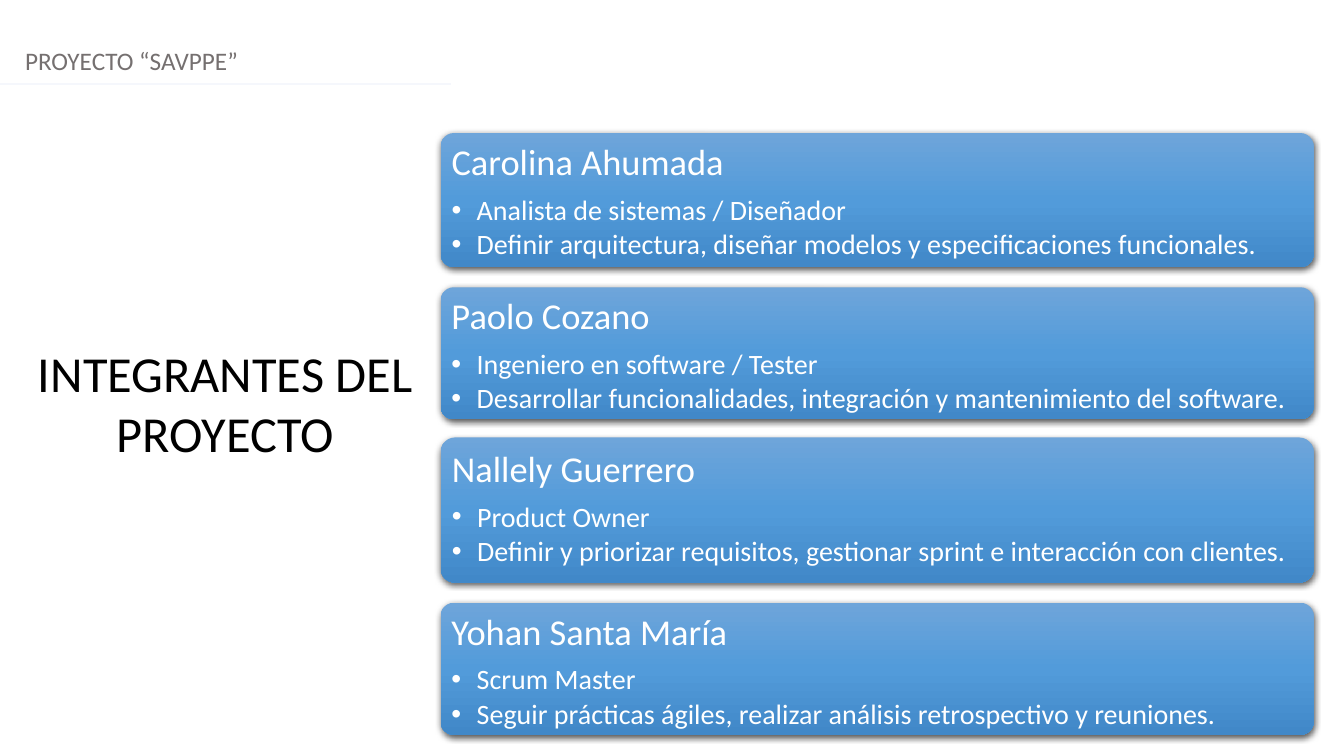
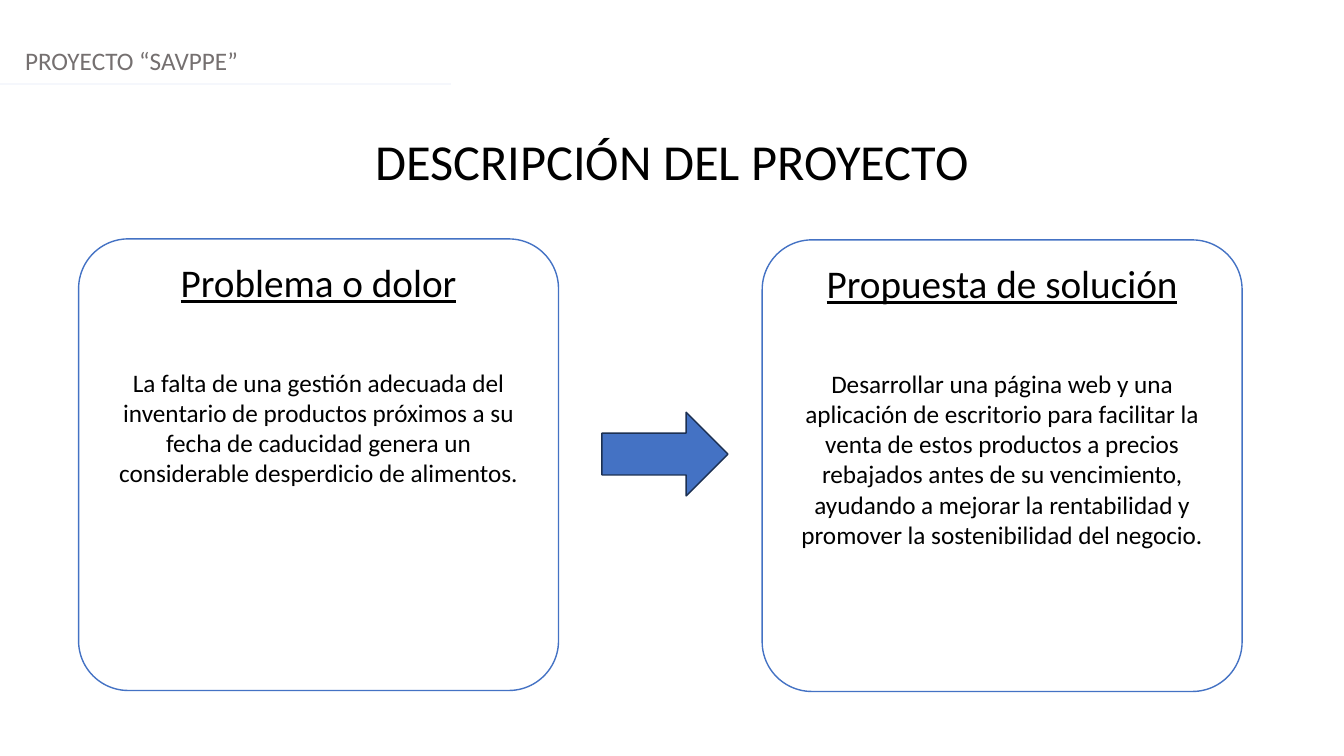
import copy

import pptx
import pptx.dml.color
import pptx.enum.shapes
import pptx.enum.text
import pptx.oxml
import pptx.oxml.ns
import pptx.util

Inches, Pt = pptx.util.Inches, pptx.util.Pt
RGBColor = pptx.dml.color.RGBColor
SHAPE = pptx.enum.shapes.MSO_SHAPE
ALIGN = pptx.enum.text.PP_ALIGN
qn = pptx.oxml.ns.qn

# Content
PROJECT = "PROYECTO “SAVPPE”"
TEAM_TITLE = "INTEGRANTES DEL PROYECTO"
# name, role, task, card top, card height, text offset
TEAM = [
    ("Carolina Ahumada", "Analista de sistemas / Diseñador",
     "Definir arquitectura, diseñar modelos y especificaciones funcionales.",
     1.32, 1.33, 0),
    ("Paolo Cozano", "Ingeniero en software / Tester",
     "Desarrollar funcionalidades, integración y mantenimiento del software.",
     2.85, 1.31, 0),
    ("Nallely Guerrero", "Product Owner",
     "Definir y priorizar requisitos, gestionar sprint e interacción con clientes.",
     4.34, 1.44, 0.02),
    ("Yohan Santa María", "Scrum Master",
     "Seguir prácticas ágiles, realizar análisis retrospectivo y reuniones.",
     5.98, 1.31, 0),
]
ABOUT_TITLE = "DESCRIPCIÓN DEL PROYECTO"
# heading, body, panel left, panel top
PANELS = [
    ("Problema o dolor",
     "La falta de una gestión adecuada del inventario de productos próximos a su "
     "fecha de caducidad genera un considerable desperdicio de alimentos.",
     0.78, 2.37),
    ("Propuesta de solución",
     "Desarrollar una página web y una aplicación de escritorio para facilitar la "
     "venta de estos productos a precios rebajados antes de su vencimiento, "
     "ayudando a mejorar la rentabilidad y promover la sostenibilidad del negocio.",
     7.56, 2.38),
]

# Shared style
FONT = "Calibri"
BLACK = RGBColor(0x00, 0x00, 0x00)
WHITE = RGBColor(0xFF, 0xFF, 0xFF)
GRAY = RGBColor(0x75, 0x70, 0x70)
RULE = RGBColor(0xF5, 0xF7, 0xFC)
BLUE = RGBColor(0x44, 0x72, 0xC4)
NAVY = RGBColor(0x1C, 0x30, 0x52)
CARD_STOPS = [(0, RGBColor(0x6E, 0xA5, 0xDA)),
              (0.5, RGBColor(0x52, 0x9B, 0xDA)),
              (1, RGBColor(0x41, 0x88, 0xC8))]
HEADER = {"size": Pt(18), "color": GRAY}
TITLE = {"size": Pt(36), "color": BLACK}
NAME = {"size": Pt(26), "color": WHITE}
DETAIL = {"size": Pt(20), "color": WHITE}
HEADING = {"size": Pt(28), "color": BLACK, "underline": True}
BODY = {"size": Pt(18), "color": BLACK}
NS = pptx.oxml.ns.nsdecls("a")
SHADOW = ('<a:outerShdw %s blurRad="57150" dist="19050" dir="5400000" algn="ctr" '
          'rotWithShape="0"><a:srgbClr val="000000"><a:alpha val="63000"/>'
          '</a:srgbClr></a:outerShdw>')
SLIDE_W = 13.33


def add_xml(parent, xml):
    parent.append(pptx.oxml.parse_xml(xml % NS))


def write(tf, lines):
    """Each line is text, font values, paragraph values."""
    tf.word_wrap = True
    tf.vertical_anchor = pptx.enum.text.MSO_ANCHOR.TOP
    for i, (text, font, layout) in enumerate(lines):
        p = tf.add_paragraph() if i else tf.paragraphs[0]
        for key, value in layout.items():
            setattr(p, key, value)
        r = p.add_run()
        r.text = text
        r.font.name = FONT
        for key, value in font.items():
            if key == "color":
                r.font.color.rgb = value
            else:
                setattr(r.font, key, value)


def add_text(slide, box, text, font, align=ALIGN.LEFT):
    tb = slide.shapes.add_textbox(*map(Inches, box))
    write(tb.text_frame, [(text, font, {"alignment": align})])


def add_shape(slide, kind, box, adj=None):
    sp = slide.shapes.add_shape(kind, *map(Inches, box))
    sp.shadow.inherit = False
    if adj is not None:
        sp.adjustments[0] = adj
    return sp


def paint(sp, fill, line):
    sp.fill.solid()
    sp.fill.fore_color.rgb = fill
    sp.line.color.rgb = line
    sp.line.width = Pt(1)


def add_bullet(p):
    pPr = p._p.get_or_add_pPr()
    pPr.set("marL", str(Inches(0.25)))
    pPr.set("indent", str(-Inches(0.25)))
    add_xml(pPr, '<a:buFont %s typeface="Arial"/>')
    add_xml(pPr, '<a:buChar %s char="•"/>')


def new_slide(prs, title, title_box):
    slide = prs.slides.add_slide(prs.slide_layouts[6])
    add_text(slide, (0.15, 0.4, 4.3, 0.4), PROJECT, HEADER)
    ln = slide.shapes.add_connector(
        pptx.enum.shapes.MSO_CONNECTOR.STRAIGHT,
        Inches(0), Inches(0.83), Inches(4.47), Inches(0.83))
    ln.line.color.rgb = RULE
    ln.line.width = Pt(1.25)
    add_xml(ln._element.spPr, "<a:effectLst %s/>")
    add_text(slide, title_box, title, TITLE, ALIGN.CENTER)
    return slide


def add_card(slide, name, role, task, top, height, offset):
    sp = add_shape(slide, SHAPE.ROUNDED_RECTANGLE, (4.37, top, 8.66, height), 0.1)
    sp.line.fill.background()
    # Three-stop gradient and soft shadow
    sp.fill.gradient()
    sp.fill.gradient_angle = 270
    spPr = sp._element.spPr
    stops = spPr.find(".//" + qn("a:gsLst"))
    stops.append(copy.deepcopy(stops[0]))
    for stop, (position, color) in zip(sp.fill.gradient_stops, CARD_STOPS):
        stop.position = position
        stop.color.rgb = color
    add_xml(spPr.find(qn("a:effectLst")), SHADOW)
    # Name and bullets
    tf = sp.text_frame
    margins = {"left": 0.07, "top": 0.07 + offset, "right": 0.07, "bottom": 0}
    for side, value in margins.items():
        setattr(tf, "margin_" + side, Inches(value))
    write(tf, [(text, font, {"alignment": ALIGN.LEFT, "line_spacing": 0.9,
                             "space_before": Pt(before)})
               for text, font, before in ((name, NAME, 0), (role, DETAIL, 9.1),
                                          (task, DETAIL, 3))])
    for p in tf.paragraphs[1:]:
        add_bullet(p)


def add_panel(slide, heading, body, left, top):
    sp = add_shape(slide, SHAPE.ROUNDED_RECTANGLE, (left, top, 4.76, 4.48), 0.109)
    sp.adjustments[0] = 0.11
    paint(sp, WHITE, BLUE)
    write(sp.text_frame, [
        (heading, HEADING, {"alignment": ALIGN.CENTER}),
        (body, BODY, {"alignment": ALIGN.CENTER, "space_before": Pt(44)})])


def main():
    prs = pptx.Presentation()
    prs.slide_width, prs.slide_height = Inches(SLIDE_W), Inches(7.5)

    # Team
    slide = new_slide(prs, TEAM_TITLE, (0.26, 3.34, 3.95, 1.31))
    for member in TEAM:
        add_card(slide, *member)

    # Problem and solution
    slide = new_slide(prs, ABOUT_TITLE, (0, 1.24, SLIDE_W, 0.71))
    for panel in PANELS:
        add_panel(slide, *panel)
    arrow = add_shape(slide, SHAPE.RIGHT_ARROW, (5.97, 4.09, 1.25, 0.83))
    paint(arrow, BLUE, NAVY)

    prs.save("out.pptx")


if __name__ == "__main__":
    main()
